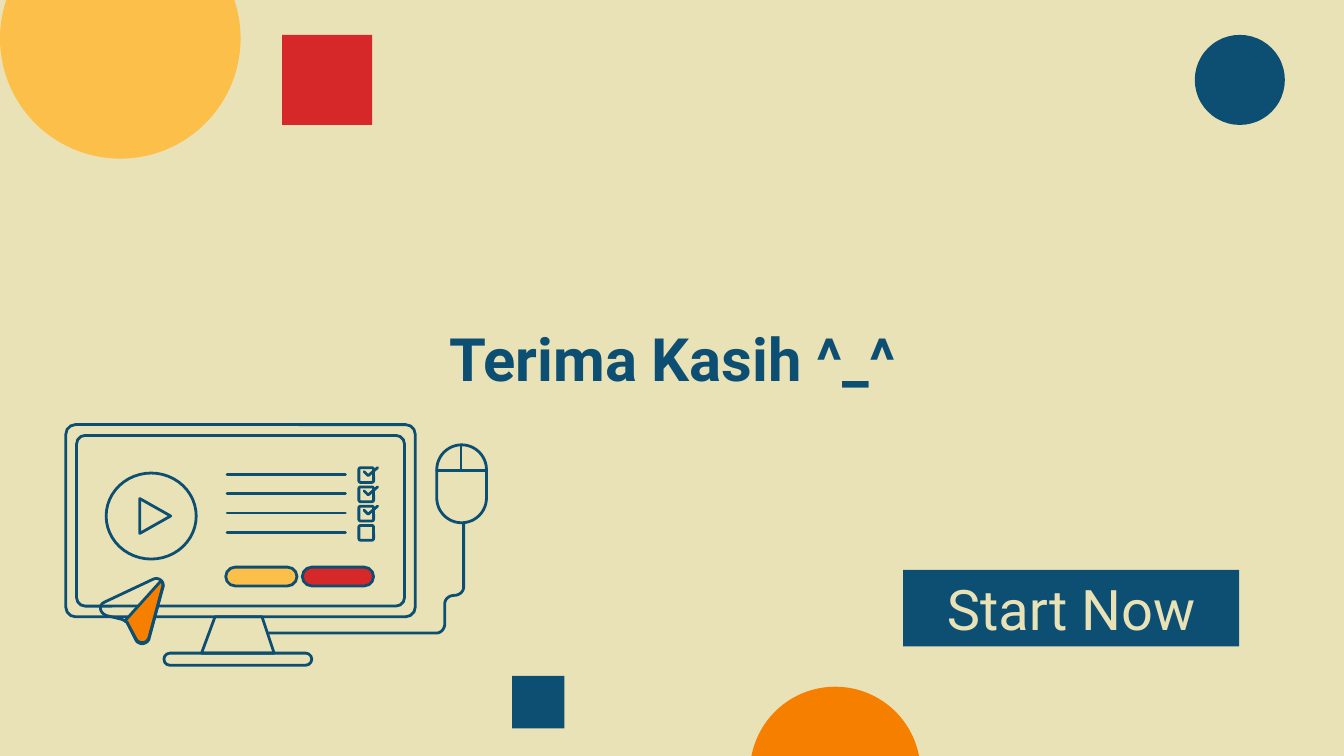
from dataclasses import dataclass

from lxml.etree import SubElement
from pptx import Presentation
from pptx.dml.color import RGBColor
from pptx.enum.shapes import MSO_CONNECTOR, MSO_SHAPE
from pptx.enum.text import MSO_ANCHOR, PP_ALIGN
from pptx.oxml.ns import qn
from pptx.util import Inches, Pt


@dataclass(frozen=True)
class Theme:
    cream: RGBColor = RGBColor.from_string("EAE2B7")
    navy: RGBColor = RGBColor.from_string("0C4F72")
    red: RGBColor = RGBColor.from_string("D62828")
    yellow: RGBColor = RGBColor.from_string("FCBF49")
    orange: RGBColor = RGBColor.from_string("F77F00")
    font: str = "Roboto"
    title_size: Pt = Pt(32)
    button_size: Pt = Pt(30)
    stroke: Pt = Pt(1.5)


theme = Theme()


def paint(shape, fill=None, outlined=True):
    """Set fill and outline, and switch the shadow off."""
    shape.shadow.inherit = False
    if fill is None:
        shape.fill.background()
    else:
        shape.fill.solid()
        shape.fill.fore_color.rgb = fill
    if outlined:
        shape.line.color.rgb = theme.navy
        shape.line.width = theme.stroke
        shape._element.spPr.find(qn("a:ln")).set("cap", "rnd")
    else:
        shape.line.fill.background()
    return shape


def trace(start, steps, fill=None, close=True):
    """Draw an outline; a step is (x, y) or a cubic curve of three points."""
    points = [start]
    for step in steps:
        if len(step) == 2:
            points.append(step)
            continue
        controls = [points[-1], step[:2], step[2:4], step[4:]]
        for i in range(1, 9):
            t = i / 8
            weights = ((1 - t) ** 3, 3 * t * (1 - t) ** 2, 3 * t * t * (1 - t), t ** 3)
            points.append(tuple(sum(w * c[axis] for w, c in zip(weights, controls))
                                for axis in (0, 1)))
    corners = [(Inches(x), Inches(y)) for x, y in points]
    builder = shapes.build_freeform(*corners[0])
    builder.add_line_segments(corners[1:], close=close)
    return paint(builder.convert_to_shape(), fill)


presentation = Presentation()
presentation.slide_width = Inches(10)
presentation.slide_height = Inches(10 * 9 / 16)
slide = presentation.slides.add_slide(presentation.slide_layouts[5])
slide.background.fill.solid()
slide.background.fill.fore_color.rgb = theme.cream
shapes = slide.shapes

# Decorative circles and squares: kind, left, top, size, colour
for kind, left, top, size, colour in [
    (MSO_SHAPE.OVAL, 5.58, 5.11, 1.27, theme.orange),
    (MSO_SHAPE.RECTANGLE, 2.1, 0.26, 0.67, theme.red),
    (MSO_SHAPE.RECTANGLE, 3.81, 5.03, 0.39, theme.navy),
    (MSO_SHAPE.OVAL, 8.89, 0.26, 0.67, theme.navy),
    (MSO_SHAPE.OVAL, 0, -0.61, 1.79, theme.yellow),
]:
    decoration = shapes.add_shape(kind, Inches(left), Inches(top), Inches(size), Inches(size))
    paint(decoration, colour, outlined=False)

# Title and button
title = shapes.title
title.left, title.top = Inches(1.34), Inches(2.21)
title.width, title.height = Inches(7.33), Inches(0.82)
button = shapes.add_shape(MSO_SHAPE.RECTANGLE, Inches(6.72), Inches(4.24),
                          Inches(2.5), Inches(0.57))
paint(button, theme.navy, outlined=False)
for shape, text, size, colour, bold, anchor in [
    (title, "Terima Kasih ^_^", theme.title_size, theme.navy, True, MSO_ANCHOR.BOTTOM),
    (button, "Start Now", theme.button_size, theme.cream, False, MSO_ANCHOR.MIDDLE),
]:
    frame = shape.text_frame
    frame.word_wrap = True
    frame.vertical_anchor = anchor
    frame.margin_left = frame.margin_right = Inches(0.1)
    frame.margin_top = frame.margin_bottom = Inches(0.1)
    paragraph = frame.paragraphs[0]
    paragraph.alignment = PP_ALIGN.CENTER
    run = paragraph.add_run()
    run.text = text
    run.font.name = theme.font
    run.font.size = size
    run.font.bold = bold
    run.font.color.rgb = colour

# Monitor stand
trace((2.04, 4.86), [(1.95, 4.59), (1.6, 4.59), (1.5, 4.86)])

# Rounded parts: left, top, width, height, corner ratio, fill
row_tops = [3.48 + 0.43 * row / 3 for row in range(4)]
rounded_parts = [
    (0.57, 3.24, 2.44, 1.27, 0.05, None),  # screen
    (0.49, 3.16, 2.6, 1.43, 0.05, None),  # monitor frame
    (2.25, 4.22, 0.53, 0.14, 0.5, theme.red),
    (1.68, 4.22, 0.53, 0.14, 0.5, theme.yellow),
    (3.25, 3.31, 0.37, 0.58, 0.5, None),  # mouse
    (1.22, 4.86, 1.1, 0.09, 0.5, None),  # base
] + [(2.67, top, 0.11, 0.11, 0.12, None) for top in row_tops]
for left, top, width, height, corner, fill in rounded_parts:
    part = shapes.add_shape(MSO_SHAPE.ROUNDED_RECTANGLE, Inches(left), Inches(top),
                            Inches(width), Inches(height))
    part.adjustments[0] = corner
    paint(part, fill)

# Ticks in the first three checkboxes
for top in row_tops[:3]:
    trace((2.71, top + 0.03), [(2.74, top + 0.06), (2.81, top)], close=False)

# Straight lines: checklist rows and mouse buttons
lines = [(2.57, top + 0.05, 1.69, top + 0.05) for top in row_tops]
lines += [(3.62, 3.5, 3.25, 3.5), (3.43, 3.31, 3.43, 3.5)]
for ends in lines:
    line = shapes.add_connector(MSO_CONNECTOR.STRAIGHT, *map(Inches, ends))
    line.line.color.rgb = theme.navy
    line.line.width = theme.stroke
    properties = line._element.spPr
    properties.find(qn("a:ln")).set("cap", "rnd")
    SubElement(properties, qn("a:effectLst"))

# Paper plane: orange wing, then the whole outline
trace((1.2, 4.32), [(1.21, 4.34, 1.22, 4.36, 1.21, 4.38), (1.11, 4.75),
                    (1.11, 4.77, 1.08, 4.79, 1.06, 4.79),
                    (1.04, 4.79, 1.02, 4.78, 1.01, 4.76), (0.95, 4.64),
                    (0.95, 4.63, 0.94, 4.63, 0.93, 4.62)], theme.orange)
trace((0.78, 4.48), [(1.14, 4.31), (1.18, 4.29, 1.23, 4.33, 1.21, 4.37), (1.11, 4.74),
                     (1.1, 4.79, 1.03, 4.8, 1.01, 4.75), (0.95, 4.64),
                     (0.95, 4.63, 0.93, 4.62, 0.91, 4.61), (0.79, 4.58),
                     (0.74, 4.56, 0.73, 4.5, 0.78, 4.48)])

# Play button
paint(shapes.add_shape(MSO_SHAPE.OVAL, Inches(0.79), Inches(3.52), Inches(0.67), Inches(0.64)))
trace((1.27, 3.84), [(1.04, 3.71), (1.04, 3.97)])

# Mouse cable
trace((3.45, 3.89), [(3.45, 4.37), (3.45, 4.4, 3.42, 4.43, 3.38, 4.43),
                     (3.34, 4.43, 3.31, 4.46, 3.31, 4.49), (3.31, 4.64),
                     (3.31, 4.68, 3.28, 4.71, 3.25, 4.71), (1.99, 4.71)], close=False)

presentation.save("out.pptx")
